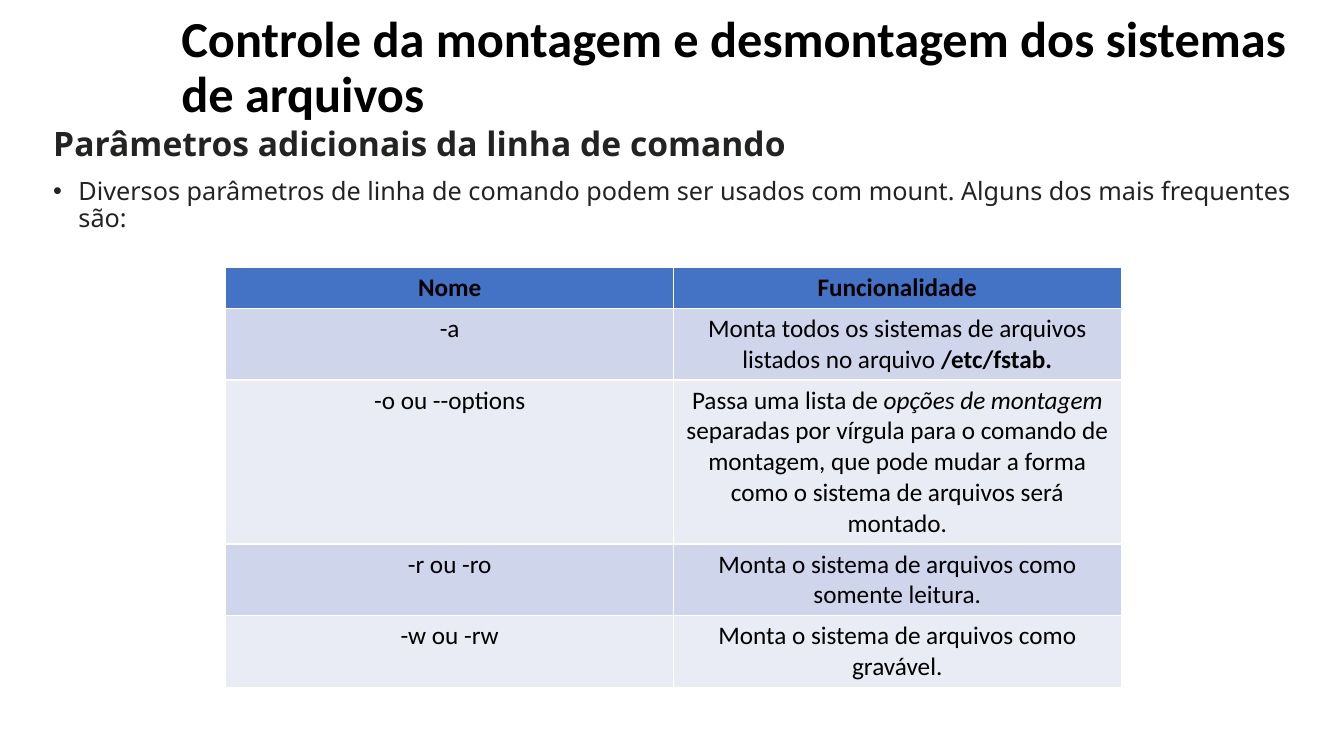
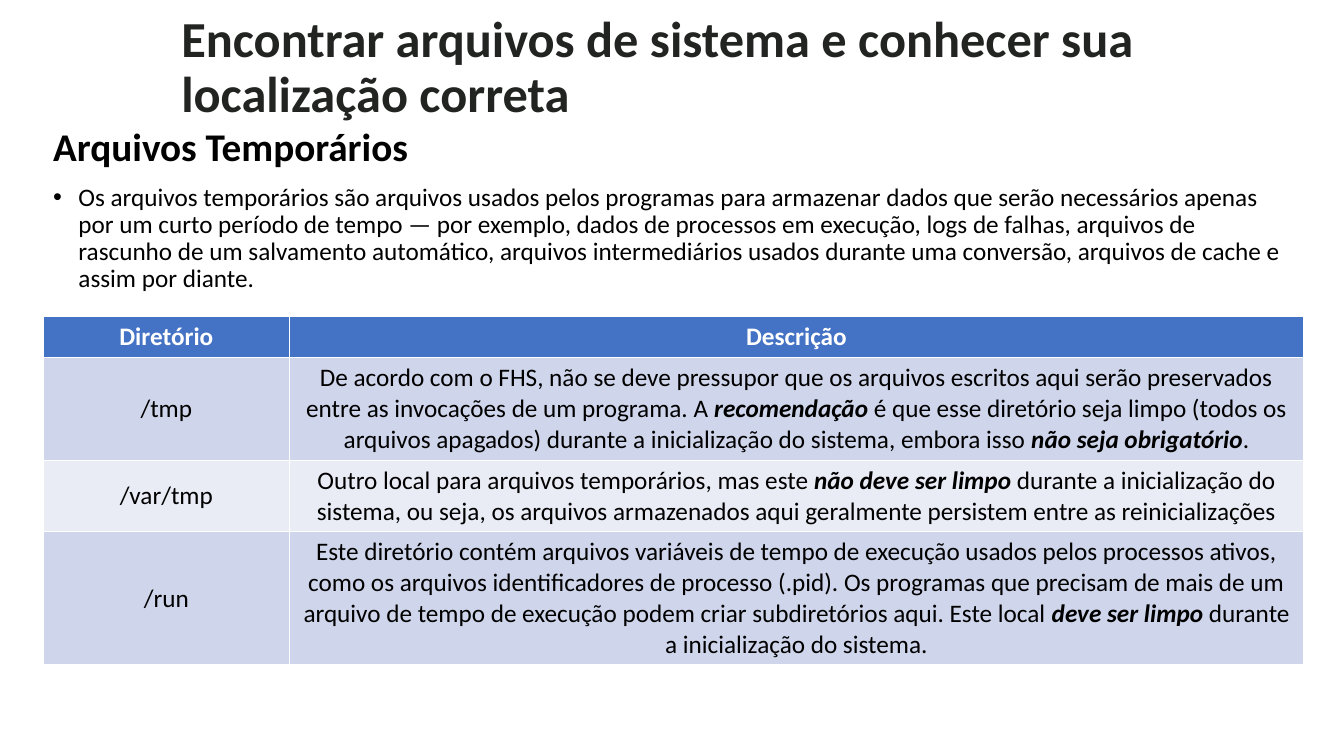
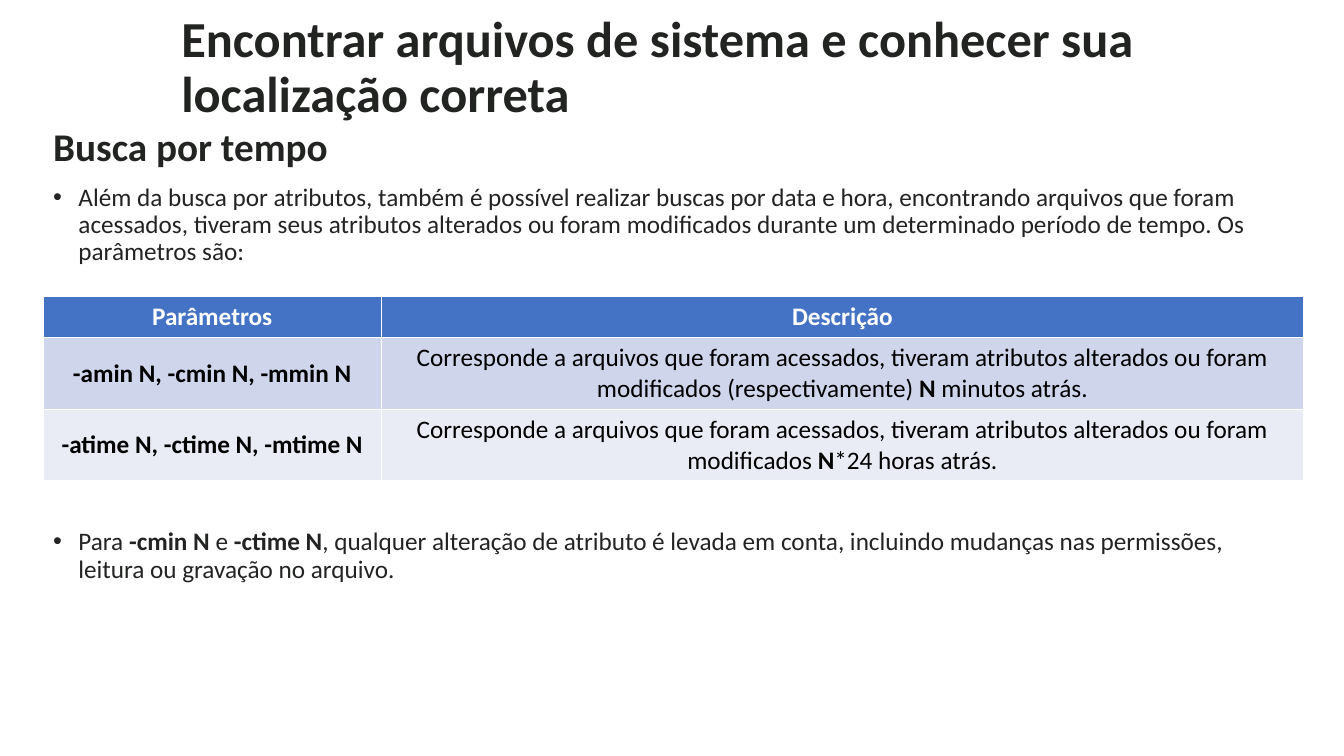
"""Build three slides on file systems, each with a title, body text and a table."""
from lxml import etree
from pptx import Presentation
from pptx import util as u
from pptx.dml.color import RGBColor
from pptx.enum import text
from pptx.oxml.ns import qn

BLACK = RGBColor(0x00, 0x00, 0x00)
WHITE = RGBColor(0xFF, 0xFF, 0xFF)
CHARCOAL = RGBColor(0x22, 0x24, 0x22)
HEADER_BLUE = RGBColor(0x44, 0x72, 0xC4)
BANDS = (RGBColor(0xCF, 0xD5, 0xEA), RGBColor(0xE9, 0xEB, 0xF5))

FONT = "Calibri"
BODY_SIZE = 18
SLIDE_WIDTH, SLIDE_HEIGHT = 13.33, 7.5
MARGIN = 0.43
CONTENT_WIDTH = 12.5
TITLE_LEFT = 1.7
ROW_HEIGHT = 0.41
BULLET_INDENT = 0.25


def bold(words):
    """Mark words as bold."""
    return words, True, False


def italic(words):
    """Mark words as italic."""
    return words, False, True


def strong(words):
    """Mark words as bold italic."""
    return words, True, True


def write(para, content, size, color, font=FONT):
    """Fill a paragraph from a plain string, a marked piece or a list of both."""
    for piece in content if isinstance(content, list) else [content]:
        words, is_bold, is_italic = (piece, False, False) if isinstance(piece, str) else piece
        span = para.add_run()
        span.text = words
        span.font.name = font
        span.font.size = u.Pt(size)
        span.font.color.rgb = color
        span.font.bold = is_bold
        span.font.italic = is_italic


def add_frame(page, left, top, width, height, anchor):
    """Add a wrapping text box and return its text frame."""
    box = page.shapes.add_textbox(u.Inches(left), u.Inches(top), u.Inches(width), u.Inches(height))
    frame = box.text_frame
    frame.word_wrap = True
    frame.auto_size = text.MSO_AUTO_SIZE.NONE
    frame.vertical_anchor = anchor
    return frame


def add_title(page, words, color):
    """Add the slide title."""
    width = MARGIN + CONTENT_WIDTH - TITLE_LEFT
    para = add_frame(page, TITLE_LEFT, 0.26, width, 0.84, text.MSO_ANCHOR.MIDDLE).paragraphs[0]
    para.line_spacing = 0.9
    write(para, bold(words), 36, color)


def add_bullet(para):
    """Give a paragraph a hanging bullet."""
    properties = para._p.get_or_add_pPr()
    indent = u.Inches(BULLET_INDENT)
    properties.set("marL", str(indent))
    properties.set("indent", str(-indent))
    etree.SubElement(properties, qn("a:buFont")).set("typeface", "Arial")
    etree.SubElement(properties, qn("a:buChar")).set("char", "•")


def add_body(page, heading, bullets, color, heading_size=28, font=FONT, bullet_gap=10):
    """Add a heading with bullets; bullet_gap is the space before later bullets."""
    frame = add_frame(page, MARGIN, 1.22, CONTENT_WIDTH, 6.21, text.MSO_ANCHOR.TOP)
    para = frame.paragraphs[0]
    para.line_spacing = 0.9
    para.space_before = u.Pt(10)
    write(para, bold(heading), heading_size, color, font)
    for index, bullet in enumerate(bullets):
        para = frame.add_paragraph()
        para.line_spacing = 0.9
        para.space_before = u.Pt(bullet_gap if index else 10)
        add_bullet(para)
        write(para, bullet, BODY_SIZE, color, font)


def add_grid(page, top, widths, rows, header_color=WHITE, anchor=text.MSO_ANCHOR.MIDDLE):
    """Add a centred table with a header row and banded rows."""
    total = sum(widths)
    left = MARGIN + (CONTENT_WIDTH - total) / 2
    table = page.shapes.add_table(
        len(rows), len(widths), u.Inches(left), u.Inches(top),
        u.Inches(total), u.Inches(ROW_HEIGHT * len(rows))).table
    for column, width in zip(table.columns, widths):
        column.width = u.Inches(width)
    for row_index, row in enumerate(rows):
        for column_index, content in enumerate(row):
            cell = table.cell(row_index, column_index)
            cell.vertical_anchor = anchor
            cell.fill.solid()
            cell.fill.fore_color.rgb = BANDS[(row_index - 1) % 2] if row_index else HEADER_BLUE
            para = cell.text_frame.paragraphs[0]
            para.alignment = text.PP_ALIGN.CENTER
            if row_index:
                write(para, content, BODY_SIZE, BLACK)
            else:
                write(para, bold(content), BODY_SIZE, header_color)


def add_mount_slide(page):
    """Show the extra parameters of mount."""
    add_title(page, "Controle da montagem e desmontagem dos sistemas de arquivos", BLACK)
    add_body(page, "Parâmetros adicionais da linha de comando", [
        "Diversos parâmetros de linha de comando podem ser usados com mount. "
        "Alguns dos mais frequentes são:",
    ], CHARCOAL, heading_size=24, font="Noto Sans")
    add_grid(page, 2.65, (4.44, 4.44), [
        ("Nome", "Funcionalidade"),
        ("-a", ["Monta todos os sistemas de arquivos listados no arquivo ", bold("/etc/fstab.")]),
        ("-o ou --options", [
            "Passa uma lista de ", italic("opções de montagem"),
            " separadas por vírgula para o comando de montagem, que pode mudar "
            "a forma como o sistema de arquivos será montado."]),
        ("-r ou -ro", "Monta o sistema de arquivos como somente leitura."),
        ("-w ou -rw", "Monta o sistema de arquivos como gravável."),
    ], header_color=BLACK, anchor=text.MSO_ANCHOR.TOP)


def add_temporary_slide(page):
    """Show the directories for temporary files."""
    add_body(page, "Arquivos Temporários", [
        "Os arquivos temporários são arquivos usados pelos programas para armazenar dados "
        "que serão necessários apenas por um curto período de tempo — por exemplo, dados de "
        "processos em execução, logs de falhas, arquivos de rascunho de um salvamento "
        "automático, arquivos intermediários usados durante uma conversão, arquivos de cache "
        "e assim por diante.",
    ], BLACK)
    add_grid(page, 3.14, (2.44, 10.06), [
        ("Diretório", "Descrição"),
        ("/tmp", [
            "De acordo com o FHS, não se deve pressupor que os arquivos escritos aqui serão "
            "preservados entre as invocações de um programa. A ", strong("recomendação"),
            " é que esse diretório seja limpo (todos os arquivos apagados) durante a "
            "inicialização do sistema, embora isso ", strong("não seja obrigatório"), "."]),
        ("/var/tmp", [
            "Outro local para arquivos temporários, mas este ", strong("não deve ser limpo "),
            "durante a inicialização do sistema, ou seja, os arquivos armazenados aqui "
            "geralmente persistem entre as reinicializações"]),
        ("/run", [
            "Este diretório contém arquivos variáveis de tempo de execução usados pelos "
            "processos ativos, como os arquivos identificadores de processo (.pid). Os "
            "programas que precisam de mais de um arquivo de tempo de execução podem criar "
            "subdiretórios aqui. Este local ", strong("deve ser limpo "),
            "durante a inicialização do sistema."]),
    ])


def add_search_slide(page):
    """Show the parameters for searching by time."""
    add_body(page, "Busca por tempo", [
        "Além da busca por atributos, também é possível realizar buscas por data e hora, "
        "encontrando arquivos que foram acessados, tiveram seus atributos alterados ou foram "
        "modificados durante um determinado período de tempo. Os parâmetros são:",
        ["Para ", bold("-cmin N "), "e ", bold("-ctime N"),
         ", qualquer alteração de atributo é levada em conta, incluindo mudanças nas "
         "permissões, leitura ou gravação no arquivo."],
    ], CHARCOAL, bullet_gap=188)
    match = ("Corresponde a arquivos que foram acessados, tiveram atributos alterados "
             "ou foram modificados ")
    add_grid(page, 2.94, (3.35, 9.15), [
        ("Parâmetros", "Descrição"),
        (bold("-amin N, -cmin N, -mmin N"),
         [match + "(respectivamente) ", bold("N"), " minutos atrás."]),
        (bold("-atime N, -ctime N, -mtime N"),
         [match, bold("N"), "*24 horas atrás."]),
    ])


def main():
    """Build and save the deck."""
    deck = Presentation()
    deck.slide_width = u.Inches(SLIDE_WIDTH)
    deck.slide_height = u.Inches(SLIDE_HEIGHT)
    blank = deck.slide_layouts[6]
    add_mount_slide(deck.slides.add_slide(blank))
    for add_content in (add_temporary_slide, add_search_slide):
        page = deck.slides.add_slide(blank)
        add_title(page, "Encontrar arquivos de sistema e conhecer sua localização correta", CHARCOAL)
        add_content(page)
    deck.save("out.pptx")


if __name__ == "__main__":
    main()
